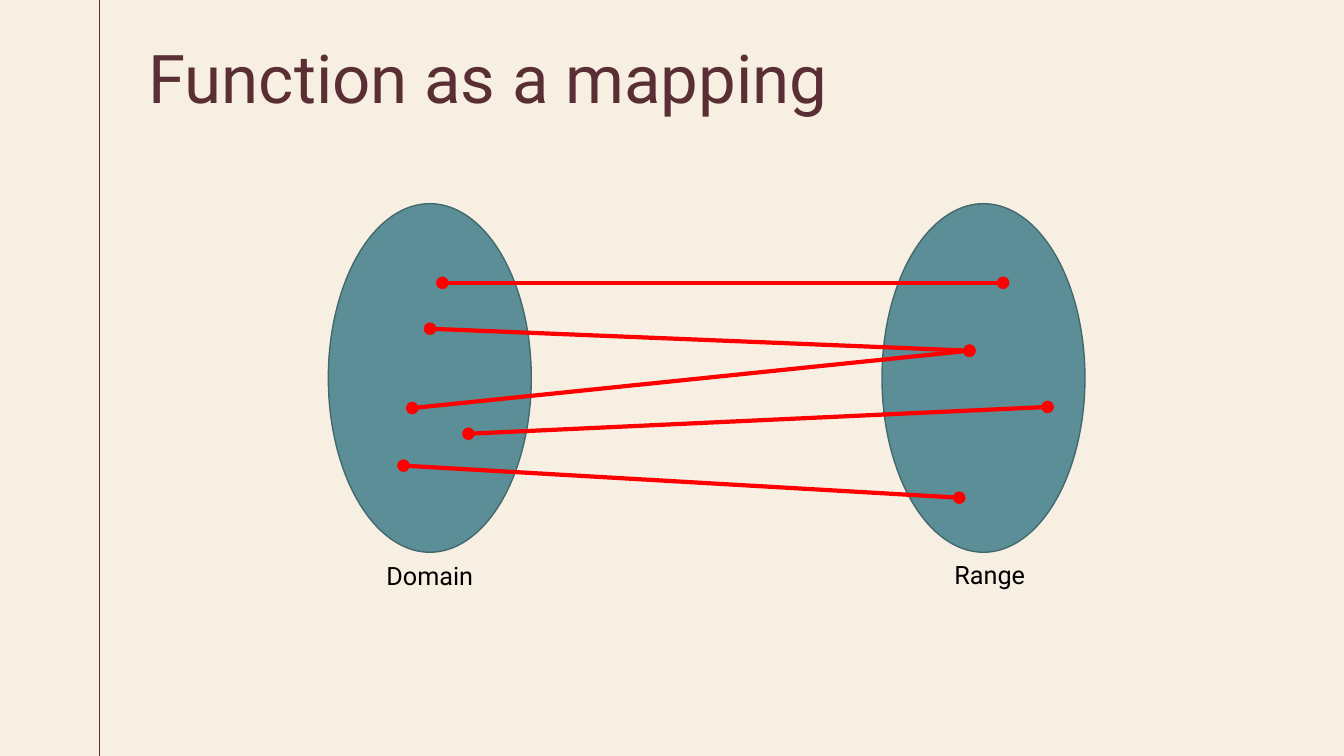
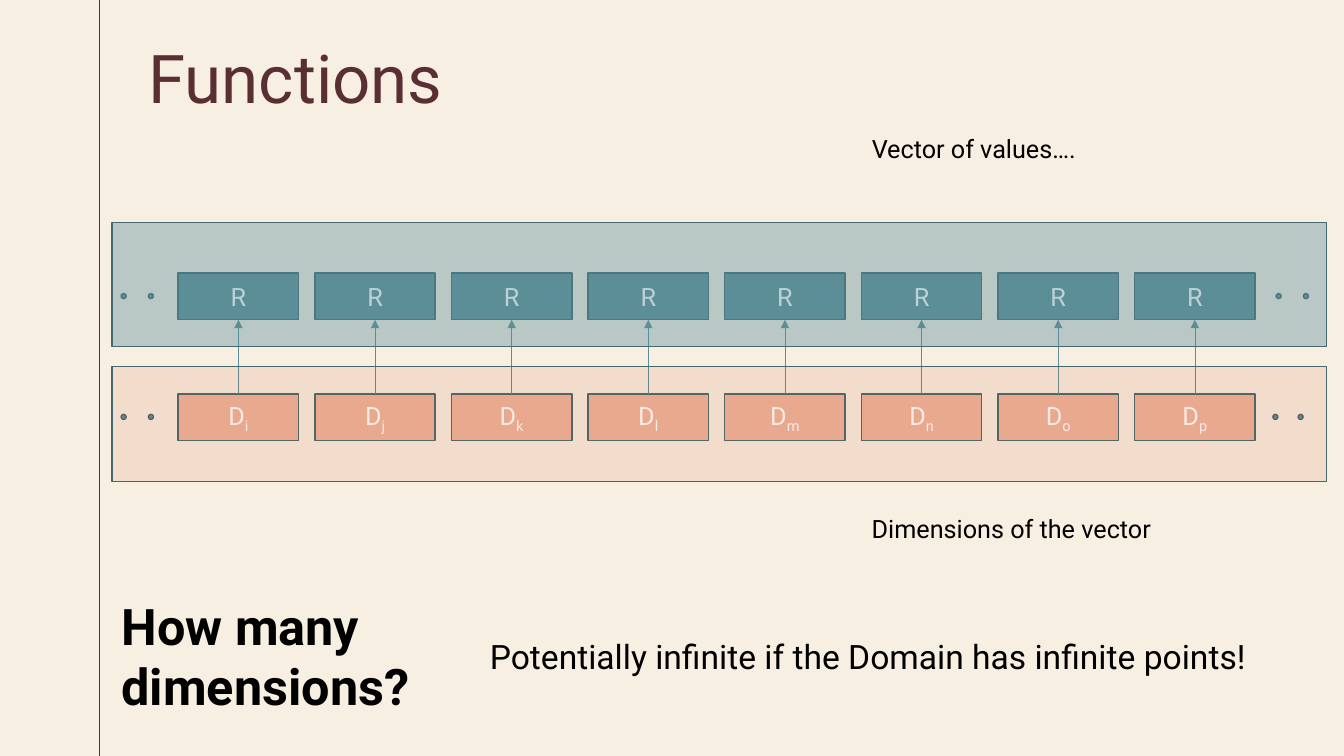
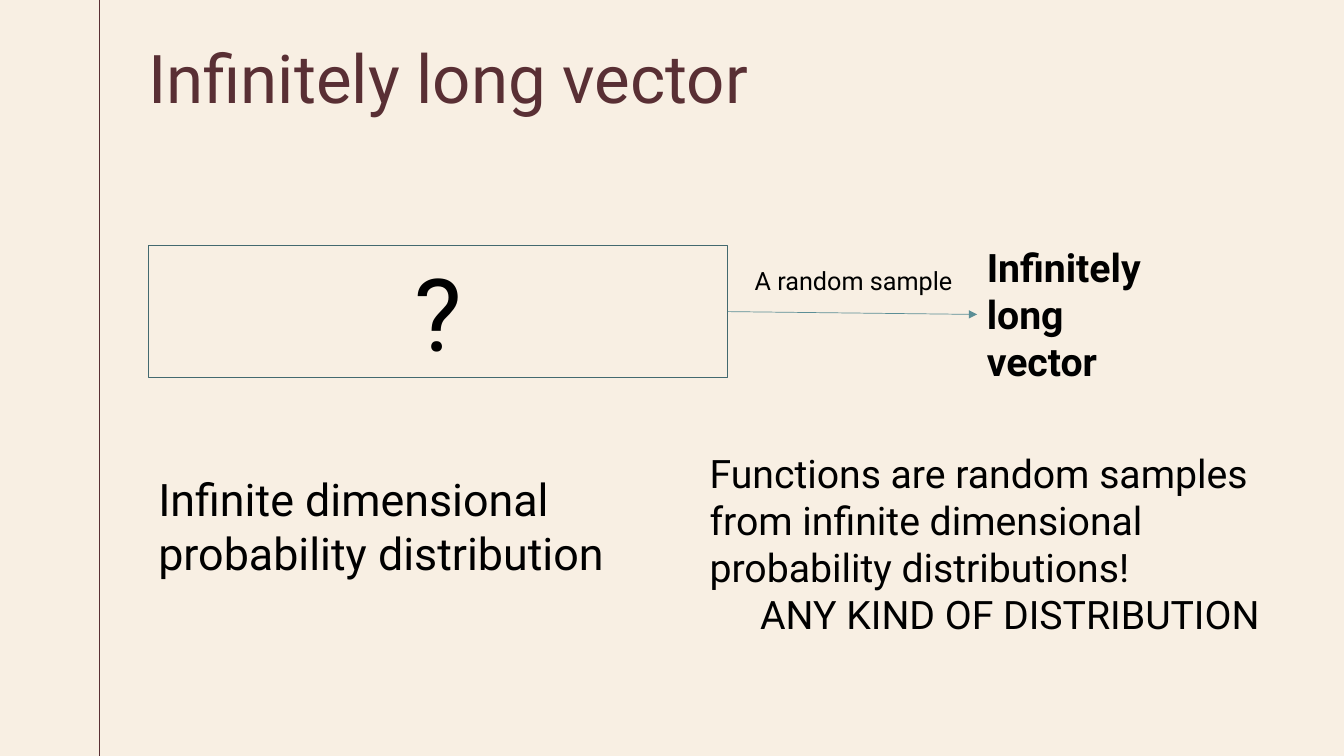
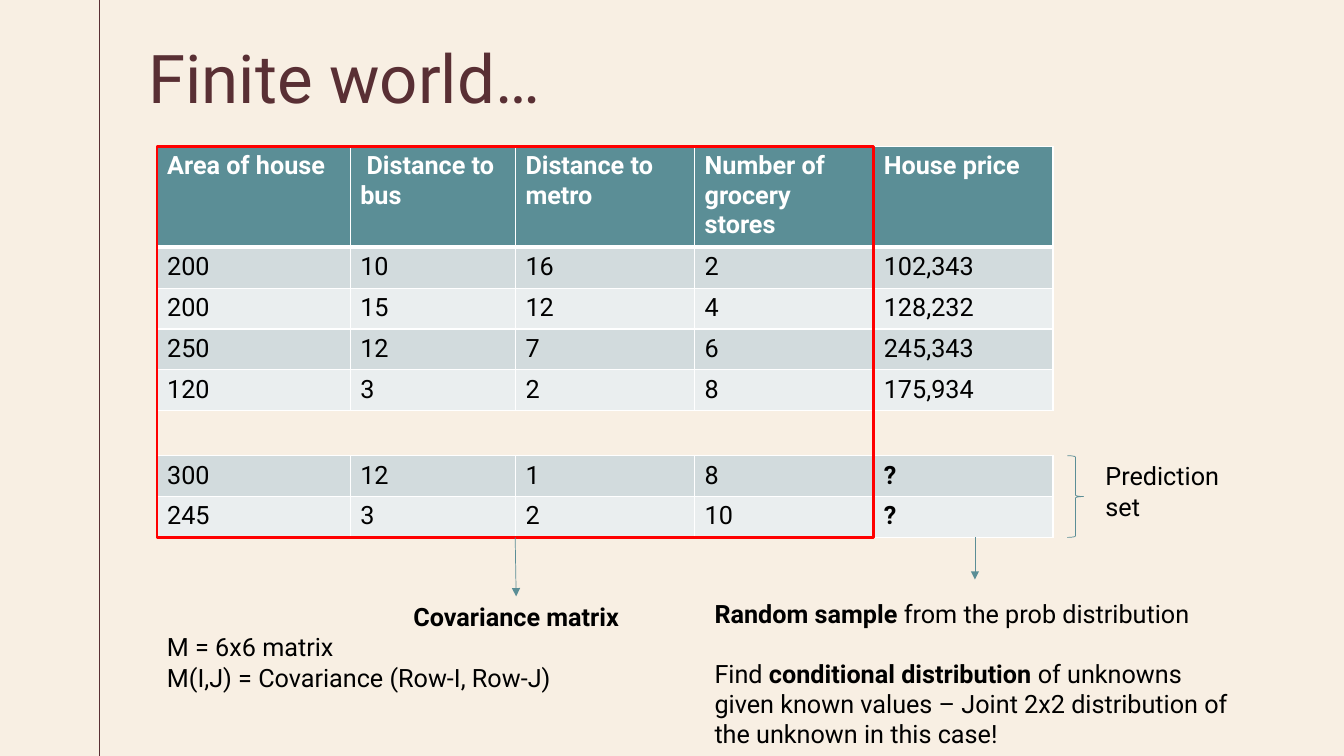
"""Build four slides on functions as samples from infinite dimensional distributions."""
from lxml import etree
from pptx import Presentation
from pptx import util as u
from pptx.dml import color
from pptx.enum import shapes, text
from pptx.oxml import ns


class Theme:
    font = "Roboto"
    cream = color.RGBColor.from_string("F8EFE3")
    maroon = color.RGBColor.from_string("592F34")
    teal = color.RGBColor.from_string("5B8E96")
    outline = color.RGBColor.from_string("43696F")
    salmon = color.RGBColor.from_string("EEB59E")
    orange = color.RGBColor.from_string("CD5323")
    red = color.RGBColor.from_string("FF0000")
    black = color.RGBColor.from_string("000000")
    white = color.RGBColor.from_string("FFFFFF")
    bands = [color.RGBColor.from_string("D2DBDD"), color.RGBColor.from_string("EAEEEF")]
    title, question, heading, distribution, statement, remark, body = 48, 72, 36, 32, 28, 24, 18


LEFT, CENTER = text.PP_ALIGN.LEFT, text.PP_ALIGN.CENTER
PRESET = shapes.MSO_SHAPE


def add_item(slide, box, preset=None, fill=None, line=None, weight=1, paragraphs=(),
             size=Theme.body, ink=Theme.black, bold=False, align=LEFT, frame_format=None):
    """Add a preset shape, or a text box when no preset is given."""
    bounds = [u.Pt(value) for value in box]
    if preset is None:
        shape = slide.shapes.add_textbox(*bounds)
    else:
        shape = slide.shapes.add_shape(preset, *bounds)
        shape.shadow.inherit = False
        if fill is None:
            shape.fill.background()
        else:
            shape.fill.solid()
            shape.fill.fore_color.rgb = fill
        shape.line.color.rgb = line
        shape.line.width = u.Pt(weight)
    frame = shape.text_frame
    frame_values = {"word_wrap": True, "vertical_anchor": text.MSO_ANCHOR.TOP}
    for name, value in (frame_values | (frame_format or {})).items():
        setattr(frame, name, value)
    for index, runs in enumerate(paragraphs):
        paragraph = frame.add_paragraph() if index else frame.paragraphs[0]
        paragraph.alignment = align
        for words, run_format in runs:
            run = paragraph.add_run()
            run.text = words
            font_values = {"name": Theme.font, "size": u.Pt(size), "bold": bold}
            for name, value in (font_values | run_format).items():
                setattr(run.font, name, value)
            run.font.color.rgb = ink
    return shape


def add_line(slide, start, end, ink=Theme.teal, weight=0.5, head=None, tail=None):
    """Add a straight line with optional ends."""
    points = [u.Pt(value) for value in (*start, *end)]
    connector = slide.shapes.add_connector(shapes.MSO_CONNECTOR.STRAIGHT, *points)
    connector.line.color.rgb = ink
    connector.line.width = u.Pt(weight)
    outline = connector.line._get_or_add_ln()
    for tag, end_type in (("a:headEnd", head), ("a:tailEnd", tail)):
        if end_type:
            etree.SubElement(outline, ns.qn(tag), type=end_type)
    etree.SubElement(connector._element.spPr, ns.qn("a:effectLst"))


presentation = Presentation()
presentation.slide_width, presentation.slide_height = u.Pt(960), u.Pt(540)
background = presentation.slide_master.background.fill
background.solid()
background.fore_color.rgb = Theme.cream

titles = ["Function as a mapping", "Functions", "Infinitely long vector", "Finite world…"]
no_margins = {f"margin_{side}": 0 for side in ("left", "top", "right", "bottom")}
slides = []
for title in titles:
    slide = presentation.slides.add_slide(presentation.slide_layouts[6])
    add_line(slide, (70.8, 0), (70.8, 540), Theme.maroon, 0.75)
    add_item(slide, (106, 26, 819, 99), paragraphs=[[(title, {})]], size=Theme.title,
             ink=Theme.maroon, frame_format=no_margins)
    slides.append(slide)
mapping, functions, vector, finite = slides

for left in (234.5, 630):
    add_item(mapping, (left, 145.5, 145, 249), PRESET.OVAL, Theme.teal, Theme.outline)
pairs = [
    ((316, 202), (716.5, 202)),
    ((307.2, 234.8), (692.5, 250.5)),
    ((294.5, 291.5), (692.5, 250.5)),
    ((288.2, 332.6), (685.2, 355.5)),
    ((334.6, 309.8), (748.3, 290.7)),
]
for start, end in pairs:
    add_line(mapping, start, end, Theme.red, 3, "oval", "oval")
for label, left, top in (("Domain", 230, 397), ("Range", 630, 396)):
    add_item(mapping, (left, top, 154, 29), paragraphs=[[(label, {})]], align=CENTER)

first_left, pitch, cell_width, cell_height = 127.3, 97.6, 86, 33.4
range_top, domain_top, dot = 195, 281.4, 3.6
middle = {"vertical_anchor": text.MSO_ANCHOR.MIDDLE}
for index, letter in enumerate("ijklmnop"):
    left = first_left + pitch * index
    cells = ((range_top, Theme.teal, [("R", {})]),
             (domain_top, Theme.salmon, [("D", {}), (letter, {})]))
    for top, fill, runs in cells:
        shape = add_item(functions, (left, top, cell_width, cell_height), PRESET.RECTANGLE,
                         fill, Theme.outline, paragraphs=[runs], ink=Theme.white,
                         align=CENTER, frame_format=middle)
        for run in shape.text_frame.paragraphs[0].runs[1:]:
            run._r.get_or_add_rPr().set("baseline", "-25000")
    center = left + cell_width / 2
    add_line(functions, (center, domain_top), (center, range_top + cell_height), tail="triangle")
for top, lefts in ((209.7, (86.5, 106, 911.5, 931)), (296, (86.5, 106, 909.2, 927.2))):
    for left in lefts:
        add_item(functions, (left, top, dot, dot), PRESET.OVAL, Theme.teal, Theme.outline)
for top, height, fill, opacity in ((159, 88.7, Theme.teal, 40), (261.7, 82.2, Theme.orange, 12)):
    panel = add_item(functions, (80, top, 867.7, height), PRESET.RECTANGLE, fill, Theme.outline)
    fill_color = panel._element.spPr.find(ns.qn("a:solidFill"))[0]
    etree.SubElement(fill_color, ns.qn("a:alpha"), val=str(opacity * 1000))
captions = [
    ((615.6, 91.6, 190, 29), "Vector of values….", Theme.body, False),
    ((615.6, 363.4, 238, 29), "Dimensions of the vector", Theme.body, False),
    ((79.7, 421.5, 270, 94), "How many dimensions?", Theme.heading, True),
    ((342.8, 450.5, 588, 36), "Potentially infinite if the Domain has infinite points!",
     Theme.remark, False),
]
for box, words, size, bold in captions:
    add_item(functions, box, paragraphs=[[(words, {})]], size=size, bold=bold)

add_item(vector, (106, 175.5, 414, 94.3), PRESET.RECTANGLE, line=Theme.outline, weight=0.75,
         paragraphs=[[("?", {})]], size=Theme.question, align=CENTER)
add_line(vector, (520, 222.6), (698, 224.6), tail="triangle")
notes = [
    ((697.8, 170, 153.4, 109), "Infinitely long vector", Theme.statement, True),
    ((532, 186, 166, 29), "A random sample", Theme.body, False),
    ((106, 333.5, 414, 85), "Infinite dimensional probability distribution",
     Theme.distribution, False),
]
for box, words, size, bold in notes:
    add_item(vector, box, paragraphs=[[(words, {})]], size=size, bold=bold)
conclusion = add_item(vector, (499.8, 317.5, 443, 143), size=Theme.statement, paragraphs=[
    [("Functions are random samples from infinite dimensional probability distributions!", {})],
    [("ANY KIND OF DISTRIBUTION", {})],
])
conclusion.text_frame.paragraphs[1].alignment = CENTER

table_left, table_top, prediction_top = 112.2, 104.6, 325.5
row_height, header_height = 29.2, 70.6
column_widths = [138, 118, 128, 128, 128]
header = ["Area of house", " Distance to bus", "Distance to metro",
          "Number of grocery stores", "House price"]
known = [
    ["200", "10", "16", "2", "102,343"],
    ["200", "15", "12", "4", "128,232"],
    ["250", "12", "7", "6", "245,343"],
    ["120", "3", "2", "8", "175,934"],
]
unknown = [["300", "12", "1", "8", "?"], ["245", "3", "2", "10", "?"]]
for top, rows in ((table_top, [header] + known), (prediction_top, unknown)):
    heights = [header_height if row is header else row_height for row in rows]
    bounds = [u.Pt(value) for value in (table_left, top, sum(column_widths), sum(heights))]
    table = finite.shapes.add_table(len(rows), len(header), *bounds).table
    for column, width in zip(table.columns, column_widths):
        column.width = u.Pt(width)
    has_header = rows[0] is header
    for row_index, row in enumerate(rows):
        table.rows[row_index].height = u.Pt(heights[row_index])
        is_header = row is header
        for column_index, words in enumerate(row):
            cell = table.cell(row_index, column_index)
            weights = {"L": 1, "R": 1, "T": 3 if has_header and row_index == 1 else 1,
                       "B": 3 if is_header else 1}
            properties = cell._tc.get_or_add_tcPr()
            for side, weight in weights.items():
                border = etree.SubElement(properties, ns.qn(f"a:ln{side}"), w=str(u.Pt(weight)))
                border_fill = etree.SubElement(border, ns.qn("a:solidFill"))
                etree.SubElement(border_fill, ns.qn("a:srgbClr"), val=str(Theme.white))
            cell.fill.solid()
            cell.fill.fore_color.rgb = (
                Theme.teal if is_header else Theme.bands[(row_index - has_header) % 2])
            run = cell.text_frame.paragraphs[0].add_run()
            run.text = words
            font_values = {"name": Theme.font, "size": u.Pt(Theme.body),
                           "bold": is_header or words == "?"}
            for name, value in font_values.items():
                setattr(run.font, name, value)
            run.font.color.rgb = Theme.white if is_header else Theme.black

table_bottom = prediction_top + row_height * len(unknown)
add_item(finite, (table_left, table_top, sum(column_widths[:-1]), table_bottom - table_top),
         PRESET.RECTANGLE, line=Theme.red, weight=2)
add_item(finite, (762.5, prediction_top, 11.5, row_height * len(unknown)), PRESET.RIGHT_BRACE,
         line=Theme.teal, weight=0.5)
add_item(finite, (782.5, 325.5, 112, 51), paragraphs=[[("Prediction set", {})]])
for start, end in (((368, table_bottom), (368.7, 426)), ((696.4, table_bottom), (696.4, 414))):
    add_line(finite, start, end, tail="triangle")
strong = {"bold": True}
covariance = add_item(finite, (112.2, 426, 513, 73), paragraphs=[
    [("Covariance matrix", strong)],
    [("M = 6x6 matrix", {})],
    [("M(I,J) = Covariance (Row-I, Row-J)", {})],
])
covariance.text_frame.paragraphs[0].alignment = CENTER
sampling = add_item(finite, (503.3, 423.6, 387, 116), paragraphs=[
    [("Random sample ", strong), ("from the prob distribution", {})],
    [("Find ", {}), ("conditional distribution ", strong),
     ("of unknowns given known values – Joint 2x2 distribution of the unknown in this case!", {})],
])
sampling.text_frame.paragraphs[1].space_before = u.Pt(21.5)

presentation.save("out.pptx")
